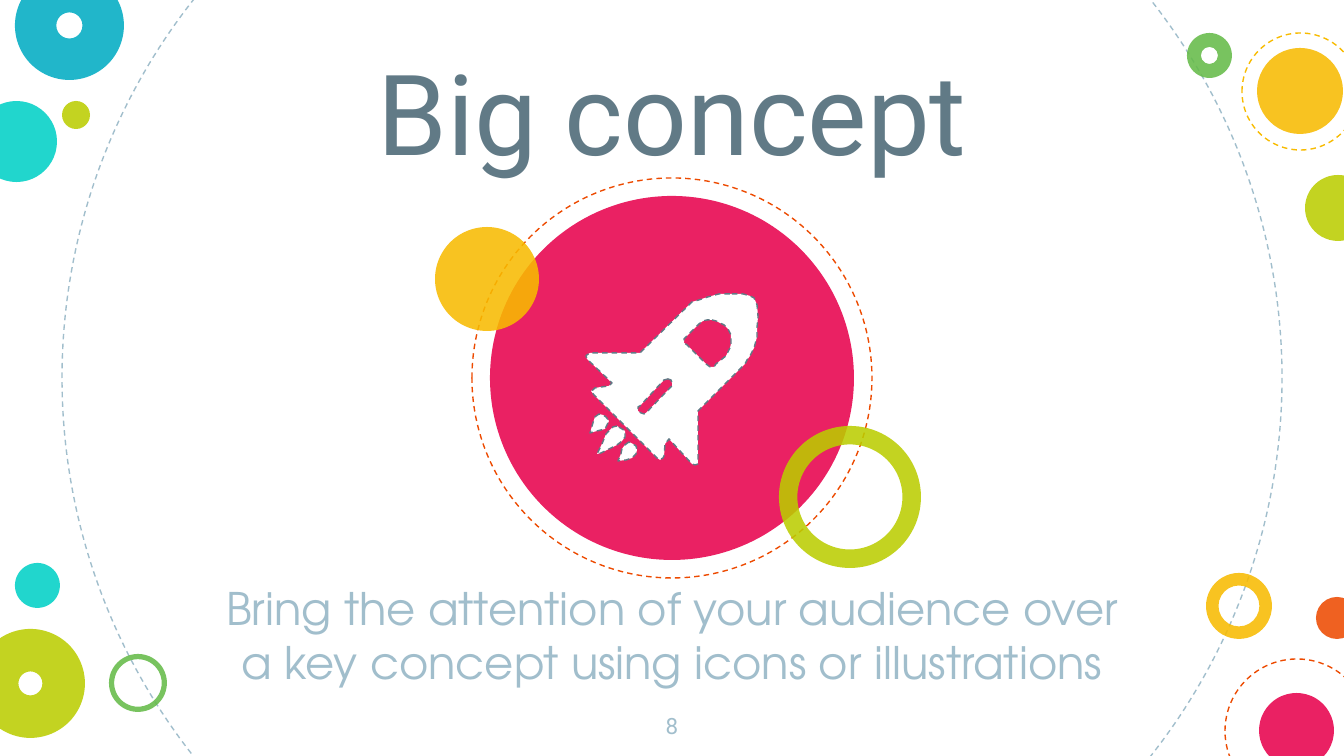
import pptx
import pptx.util
import pptx.oxml
import pptx.oxml.ns
from lxml import etree
from pptx.dml.color import RGBColor
from pptx.enum.dml import MSO_LINE
from pptx.enum.shapes import MSO_SHAPE
from pptx.enum.text import MSO_ANCHOR, PP_ALIGN

PX = 914400 / 134.4
WIDTH, HEIGHT = 1344, 756
OPACITY = 87
INSET = 13

WHITE = RGBColor(0xFF, 0xFF, 0xFF)
SLATE = RGBColor(0x61, 0x7A, 0x86)
MIST = RGBColor(0xA1, 0xBE, 0xCC)
TURQUOISE = RGBColor(0x00, 0xD1, 0xC6)
CYAN = RGBColor(0x00, 0xAC, 0xC3)
YELLOW = RGBColor(0xF8, 0xBB, 0x00)
LIME = RGBColor(0xBB, 0xCD, 0x00)
GREEN = RGBColor(0x65, 0xBB, 0x48)
ORANGE = RGBColor(0xED, 0x4A, 0x00)
PINK = RGBColor(0xE8, 0x00, 0x4C)

# Kind, left, top, diameter, colour and, for donuts, ring thickness / diameter
BACKGROUND_CIRCLES = [
    ("dashed", 62, -232, 1220, MIST),
    ("disc", -24, 101, 81, TURQUOISE),
    ("donut", 1206, 573, 66, YELLOW, 0.19),
    ("donut", 15, -29, 109, CYAN, 0.38),
    ("disc", 62, 101, 28, LIME),
    ("dashed", 1225, 659, 144, ORANGE),
    ("donut", 109, 654, 58, GREEN, 0.09),
    ("disc", 1316, 597, 42, ORANGE),
    ("donut", -24, 629, 109, LIME, 0.39),
    ("disc", 1259, 693, 75, PINK),
    ("donut", 1187, 33, 45, GREEN, 0.31),
    ("disc", 1257, 48, 86, YELLOW),
    ("disc", 1305, 175, 66, LIME),
    ("dashed", 1242, 33, 117, YELLOW),
    ("disc", 15, 563, 45, TURQUOISE),
]
CENTRE_CIRCLES = [
    ("disc", 490, 196, 364, PINK),
    ("dashed", 472, 178, 400, ORANGE),
    ("disc", 435, 227, 104, YELLOW),
    ("donut", 779, 426, 142, LIME, 0.13),
]

ROCKET_WINDOW = [
    (712, 320), (716, 321), (720, 323), (724, 325), (728, 329), (731, 335),
    (731, 344), (730, 348), (728, 352), (726, 356), (716, 364), (714, 367),
    (710, 367), (706, 364), (687, 345), (684, 343), (684, 339), (687, 336),
    (696, 327), (699, 324), (703, 321), (707, 320),
]
ROCKET_SLOT = [
    (668, 379), (671, 380), (672, 383), (672, 386), (671, 387), (646, 413),
    (644, 414), (641, 413), (638, 411), (638, 407), (640, 406), (664, 380),
]
ROCKET_BODY = [
    (730, 294), (719, 294), (708, 297), (699, 300), (692, 302), (688, 306),
    (640, 353), (590, 353), (587, 355), (586, 356), (587, 359), (612, 383),
    (609, 386), (595, 388), (593, 390), (591, 391), (594, 395), (657, 458),
    (660, 460), (663, 458), (664, 456), (665, 444), (669, 439), (692, 464),
    (695, 465), (698, 464), (698, 411), (745, 364), (747, 360), (750, 356),
    (754, 348), (757, 337), (757, 327), (758, 317), (757, 305), (754, 298),
    (750, 296), (743, 294),
]
MIDDLE_FLAME = [
    (617, 426), (613, 427), (609, 431), (606, 434), (602, 444), (597, 454),
    (601, 453), (609, 449), (617, 445), (622, 441), (625, 437), (625, 431),
    (622, 429),
]
RIGHT_FLAME = [
    (629, 442), (625, 445), (622, 449), (621, 454), (618, 461), (626, 460),
    (632, 458), (636, 454), (637, 450), (636, 446), (633, 444),
]
LEFT_FLAME = [
    (599, 414), (595, 417), (593, 423), (590, 433), (597, 431), (605, 429),
    (607, 425), (609, 421), (606, 417), (603, 415),
]
ROCKET_PARTS = [
    [ROCKET_WINDOW, ROCKET_SLOT, ROCKET_BODY],
    [MIDDLE_FLAME], [RIGHT_FLAME], [LEFT_FLAME],
]

TITLE = "Big concept"
SUBTITLE = ("Bring the attention of your audience over a key concept "
            "using icons or illustrations")
PAGE_NUMBER = "8"


def px(n):
    return pptx.util.Emu(round(n * PX))


def dash_line(sp, color):
    sp.line.color.rgb = color
    sp.line.width = pptx.util.Pt(0.75)
    sp.line.dash_style = MSO_LINE.DASH


def fill_solid(sp, color, opacity=100):
    sp.fill.solid()
    sp.fill.fore_color.rgb = color
    if opacity < 100:
        clr = sp.fill._xPr.find(".//" + pptx.oxml.ns.qn("a:srgbClr"))
        alpha = etree.SubElement(clr, pptx.oxml.ns.qn("a:alpha"))
        alpha.set("val", str(opacity * 1000))


def add_circle(shapes, kind, x, y, d, color, ring=None):
    preset = MSO_SHAPE.DONUT if kind == "donut" else MSO_SHAPE.OVAL
    sp = shapes.add_shape(preset, px(x), px(y), px(d), px(d))
    sp.shadow.inherit = False
    if kind == "dashed":
        sp.fill.background()
        dash_line(sp, color)
        return
    fill_solid(sp, color, OPACITY)
    sp.line.fill.background()
    if ring is not None:
        sp.adjustments[0] = ring


def add_outline(shapes, contours):
    """Draw closed contours as one shape; inner contours become holes."""
    builder = shapes.build_freeform(*contours[0][0], scale=PX)
    for i, points in enumerate(contours):
        if i:
            builder.move_to(*points[0])
        builder.add_line_segments(points[1:], close=True)
    sp = builder.convert_to_shape()
    sp.shadow.inherit = False
    fill_solid(sp, WHITE)
    dash_line(sp, SLATE)


def add_text(shapes, text, *, box, size, color, font="Roboto",
             anchor=MSO_ANCHOR.TOP, space_before=0):
    tf = shapes.add_textbox(*map(px, box)).text_frame
    tf.word_wrap = True
    tf.vertical_anchor = anchor
    tf.margin_left = tf.margin_right = px(INSET)
    tf.margin_top = tf.margin_bottom = px(INSET)
    p = tf.paragraphs[0]
    p.alignment = PP_ALIGN.CENTER
    p.space_before = pptx.util.Pt(space_before)
    r = p.add_run()
    r.text = text
    r.font.name = font
    r.font.size = pptx.util.Pt(size)
    r.font.color.rgb = color


def main():
    prs = pptx.Presentation()
    prs.slide_width, prs.slide_height = px(WIDTH), px(HEIGHT)
    s = prs.slides.add_slide(prs.slide_layouts[6])
    for circle in BACKGROUND_CIRCLES:
        add_circle(s.shapes, *circle)
    add_text(s.shapes, TITLE, box=(192, 20, 960, 171), size=60, color=SLATE,
             anchor=MSO_ANCHOR.BOTTOM)
    add_text(s.shapes, SUBTITLE, box=(192, 568, 960, 116), size=24, color=MIST,
             font="TeX Gyre Adventor", space_before=6)
    for circle in CENTRE_CIRCLES:
        add_circle(s.shapes, *circle)
    for contours in ROCKET_PARTS:
        add_outline(s.shapes, contours)
    add_text(s.shapes, PAGE_NUMBER, box=(638, 699, 68, 57), size=12, color=MIST)
    prs.save("out.pptx")


if __name__ == "__main__":
    main()
